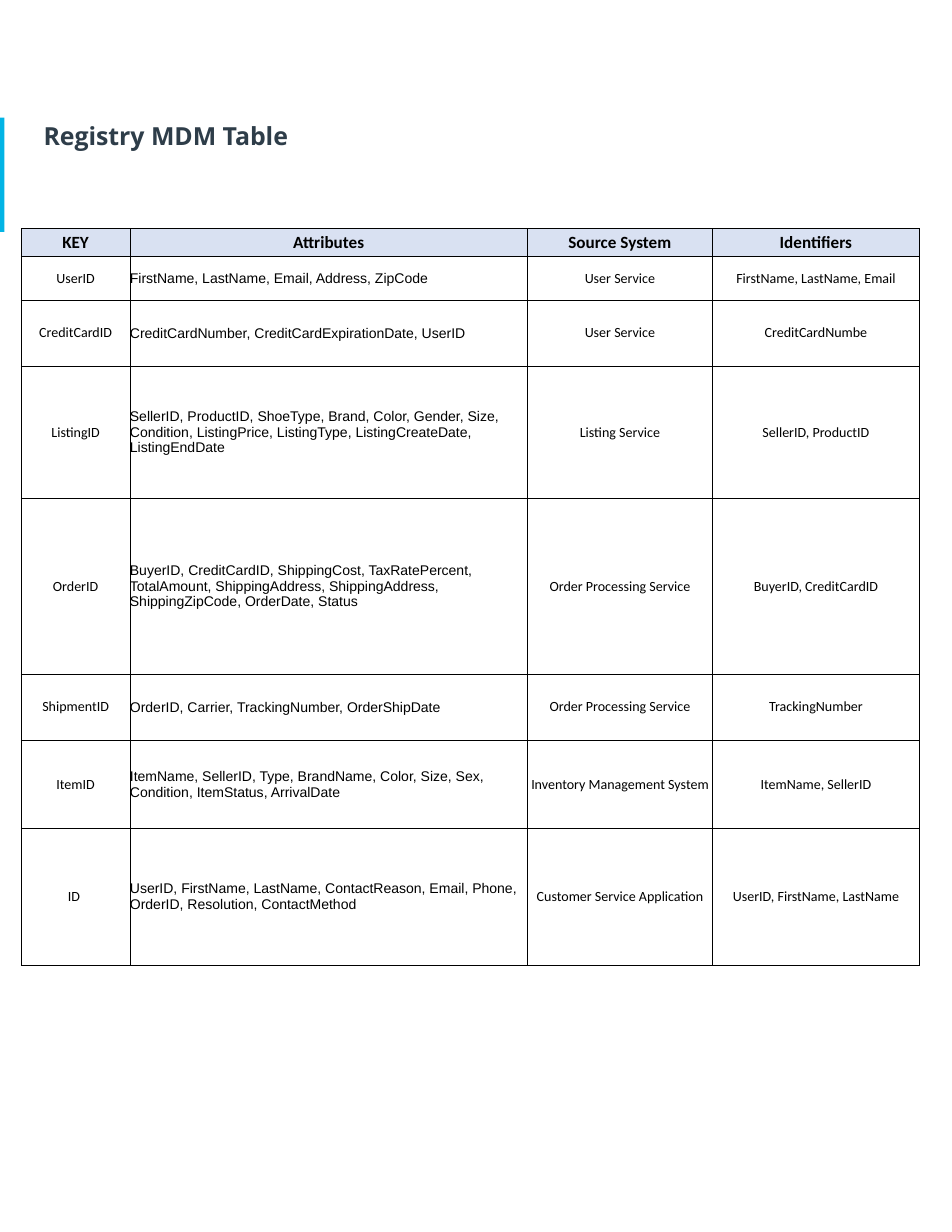
"""Build a slide with the registry table of a master data management plan."""
from lxml import etree
from pptx import Presentation
from pptx.dml.color import RGBColor
from pptx.enum.shapes import MSO_SHAPE
from pptx.enum.text import MSO_ANCHOR, PP_ALIGN
from pptx.oxml.ns import qn
from pptx.util import Inches, Pt

RECTANGLE = MSO_SHAPE.RECTANGLE
MIDDLE = MSO_ANCHOR.MIDDLE
LEFT, CENTER = PP_ALIGN.LEFT, PP_ALIGN.CENTER

GRID_STEP = Inches(0.01)
SLIDE_COLUMNS, SLIDE_ROWS = 850, 1100
COLORS = {"accent": "02B4E5", "title": "2E3D49", "text": "000000",
          "border": "000000", "header": "D9E1F2"}

COLUMN_WIDTHS = [97, 355, 165, 185]
ROW_HEIGHTS = [25, 39, 59, 118, 157, 59, 79, 122]
ATTRIBUTES_COLUMN = 1
REGISTRY = [
    ("KEY", "Attributes", "Source System", "Identifiers"),
    ("UserID", "FirstName, LastName, Email, Address, ZipCode",
     "User Service", "FirstName, LastName, Email"),
    ("CreditCardID", "CreditCardNumber, CreditCardExpirationDate, UserID",
     "User Service", "CreditCardNumbe"),
    ("ListingID",
     "SellerID, ProductID, ShoeType, Brand, Color, Gender, Size, Condition, "
     "ListingPrice, ListingType, ListingCreateDate, ListingEndDate",
     "Listing Service", "SellerID, ProductID"),
    ("OrderID",
     "BuyerID, CreditCardID, ShippingCost, TaxRatePercent, TotalAmount, "
     "ShippingAddress, ShippingAddress, ShippingZipCode, OrderDate, Status",
     "Order Processing Service", "BuyerID, CreditCardID"),
    ("ShipmentID", "OrderID, Carrier, TrackingNumber, OrderShipDate",
     "Order Processing Service", "TrackingNumber"),
    ("ItemID",
     "ItemName, SellerID, Type, BrandName, Color, Size, Sex, Condition, "
     "ItemStatus, ArrivalDate",
     "Inventory Management System", "ItemName, SellerID"),
    ("ID ",
     "UserID, FirstName, LastName, ContactReason, Email, Phone, OrderID, "
     "Resolution, ContactMethod",
     "Customer Service Application", "UserID, FirstName, LastName"),
]


def grid(*counts):
    """Turn counts of grid steps into lengths."""
    return [count * GRID_STEP for count in counts]


def rgb(name):
    """Look up a named colour."""
    return RGBColor.from_string(COLORS[name])


def style_text(paragraph, face, size, color, bold, align):
    """Set the font and alignment of a paragraph."""
    font = paragraph.font
    font.name, font.size, font.bold = face, Pt(size), bold
    font.color.rgb = rgb(color)
    paragraph.alignment = align


def add_accent_bar(slide, *place):
    """Add the coloured bar at the slide's edge."""
    bar = slide.shapes.add_shape(RECTANGLE, *grid(*place))
    bar.shadow.inherit = False
    bar.fill.solid()
    bar.fill.fore_color.rgb = rgb("accent")
    bar.line.fill.background()


def add_title(slide, wording, *place):
    """Add the slide's heading."""
    frame = slide.shapes.add_textbox(*grid(*place)).text_frame
    frame.word_wrap = True
    frame.vertical_anchor = MIDDLE
    frame.margin_left = frame.margin_right = Inches(0.1)
    frame.margin_top = frame.margin_bottom = Inches(0.1)
    frame.text = wording
    style_text(frame.paragraphs[0], "Open Sans", 16, "title", True, LEFT)


def add_borders(cell):
    """Draw a thin line on all four sides of a cell."""
    properties = cell._tc.get_or_add_tcPr()
    for side in ("a:lnL", "a:lnR", "a:lnT", "a:lnB"):
        line = etree.SubElement(properties, qn(side), w=str(Pt(0.5)))
        fill = etree.SubElement(line, qn("a:solidFill"))
        etree.SubElement(fill, qn("a:srgbClr"), val=COLORS["border"])


def fill_cell(cell, wording, is_header, is_attributes):
    """Write and format one cell of the registry."""
    cell.text = wording
    cell.vertical_anchor = MIDDLE
    cell.margin_left = cell.margin_right = 0
    cell.margin_top = cell.margin_bottom = 0
    add_borders(cell)
    if is_header:
        cell.fill.solid()
        cell.fill.fore_color.rgb = rgb("header")
    else:
        cell.fill.background()
    is_list = is_attributes and not is_header
    style_text(cell.text_frame.paragraphs[0], "Arial" if is_list else "Calibri",
               11 if is_header else 9, "text", is_header,
               LEFT if is_list else CENTER)


def add_registry(slide, left, top):
    """Add the registry table."""
    place = grid(left, top, sum(COLUMN_WIDTHS), sum(ROW_HEIGHTS))
    table = slide.shapes.add_table(len(REGISTRY), len(COLUMN_WIDTHS), *place).table
    for column, width in zip(table.columns, grid(*COLUMN_WIDTHS)):
        column.width = width
    for row, height in zip(table.rows, grid(*ROW_HEIGHTS)):
        row.height = height
    for r, entry in enumerate(REGISTRY):
        for c, wording in enumerate(entry):
            fill_cell(table.cell(r, c), wording, r == 0, c == ATTRIBUTES_COLUMN)


def main():
    """Build and save the presentation."""
    deck = Presentation()
    deck.slide_width, deck.slide_height = grid(SLIDE_COLUMNS, SLIDE_ROWS)
    slide = deck.slides.add_slide(deck.slide_layouts[6])
    add_accent_bar(slide, 0, 105, 4, 102)
    add_title(slide, "Registry MDM Table", 29, 95, 792, 52)
    add_registry(slide, 19, 204)
    deck.save("out.pptx")


if __name__ == "__main__":
    main()
